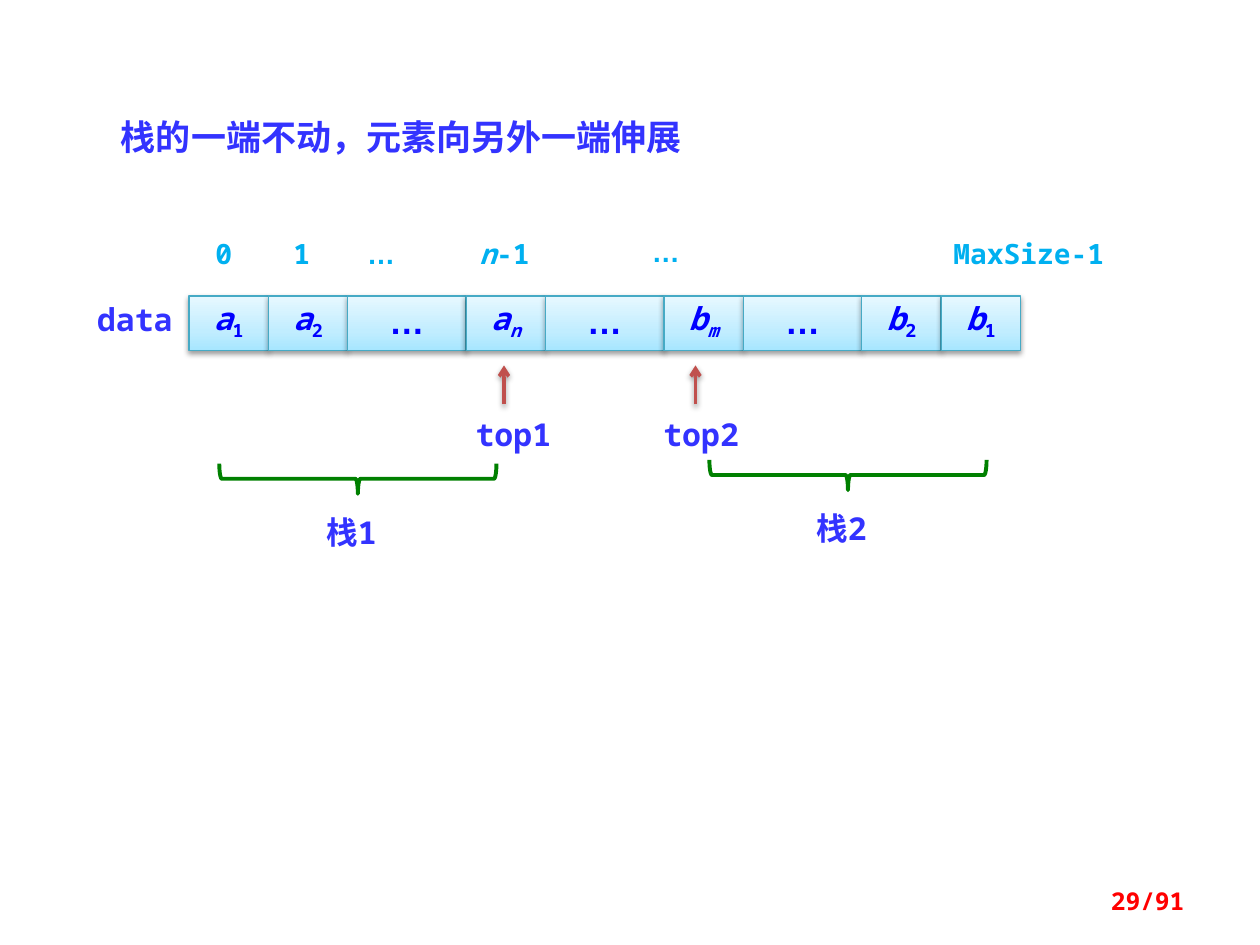
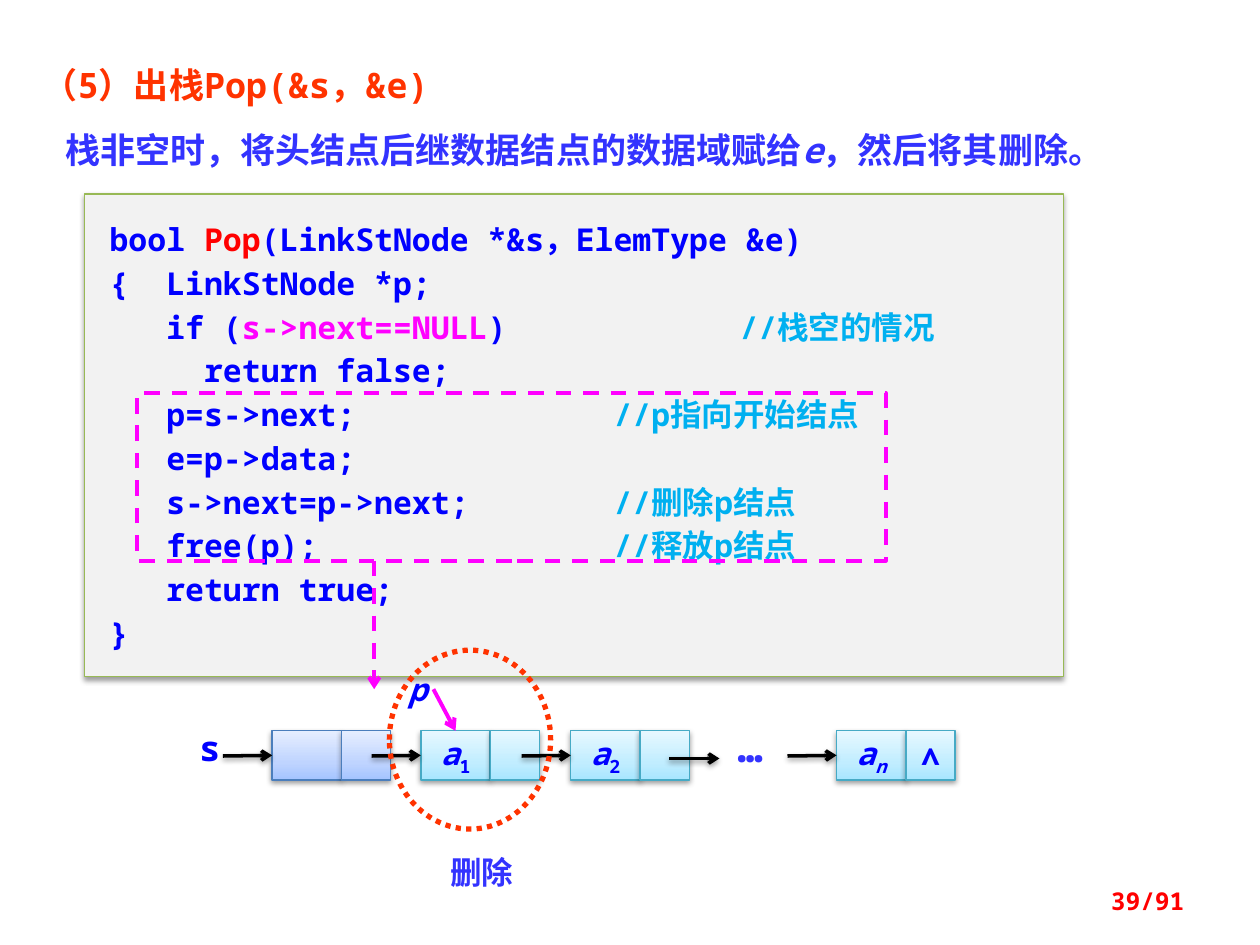
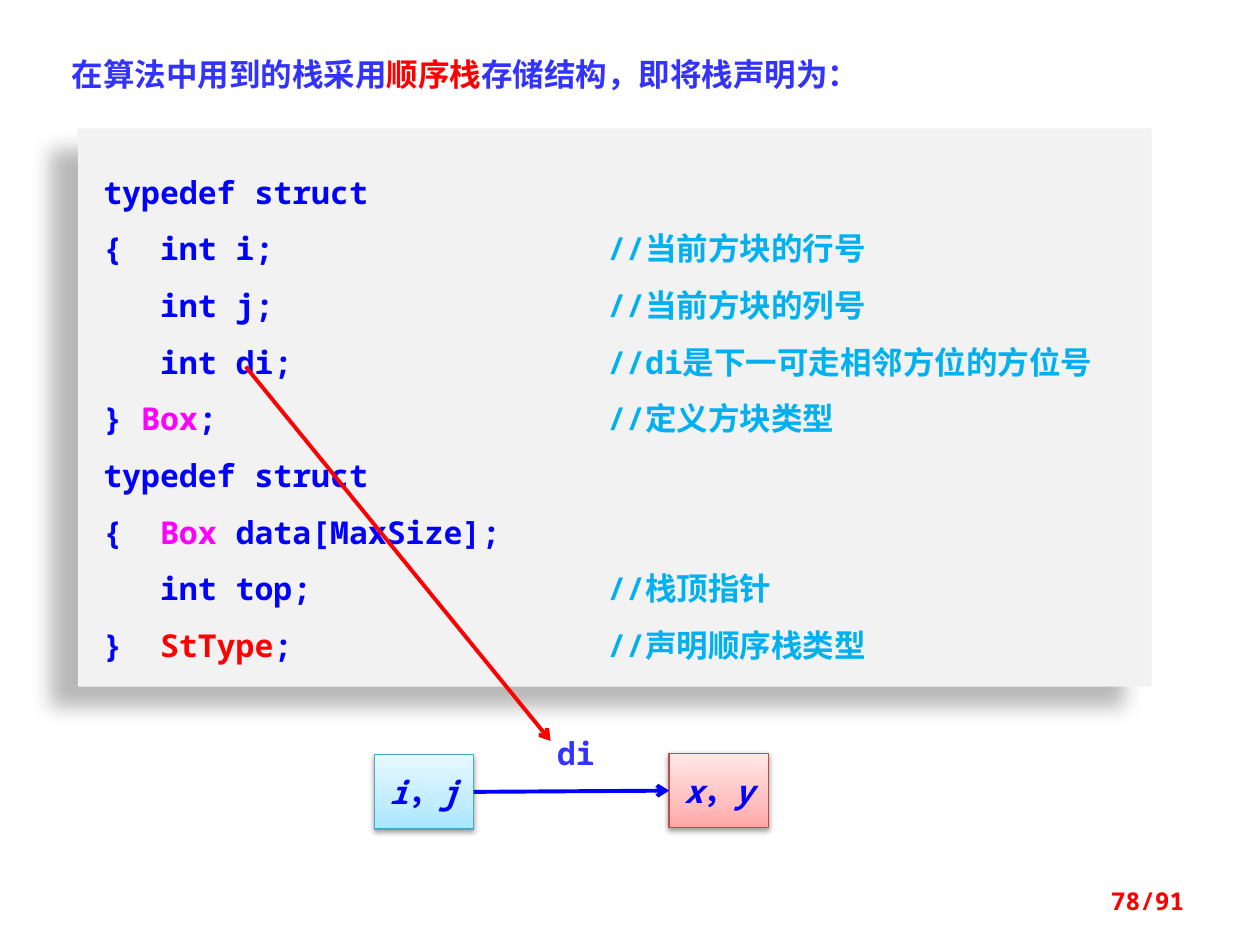
from copy import deepcopy

from lxml.etree import SubElement
from pptx import Presentation
from pptx.dml.color import RGBColor
from pptx.enum.dml import MSO_LINE
from pptx.enum.shapes import MSO_CONNECTOR, MSO_SHAPE
from pptx.enum.text import MSO_ANCHOR, MSO_AUTO_SIZE, PP_ALIGN
from pptx.oxml.ns import qn
from pptx.util import Inches, Pt

MONO, ARIAL = "Noto Sans Mono", "Arial"
CJK_JP, CJK_SC = "Noto Sans CJK JP", "Noto Sans CJK SC"
BLUE, INDIGO, SKY, MAGENTA = "0000FF", "3333FF", "00B0F0", "FF00FF"
RED, ORANGE, GREEN, BRICK = "FF0000", "FF3300", "008000", "C0504D"
BLACK, PANEL = "000000", "F2F2F2"
AQUA = (("A7E6FF", "C1EDFF", "E7F8FF"), "46AAC5")
STEEL = (("A4C4FF", "BFD4FF", "E6EEFF"), "4B7EBC")
ROSE = (("FFA6A5", "FFC0BF", "FFE7E7"), "BF4C48")
SOFT = (3.15, 1.57, 90, 38)
DEEP = (11.8, 19.7, 141, 28)
PAGES = 91


def rgb(value):
    """Turn a hex string into a colour."""
    return RGBColor.from_string(value)


def write(p, runs, color=BLUE, size=18, font=MONO):
    """Add runs, each a string or a (string, overrides) pair."""
    for run in runs:
        text, own = (run, {}) if isinstance(run, str) else run
        r = p.add_run()
        r.text = text
        f = r.font
        f.size, f.bold, f.italic = Pt(size), True, own.get("italic", False)
        f.color.rgb = rgb(own.get("color", color))
        f.name = own.get("font", font)
        rPr = r._r.get_or_add_rPr()
        SubElement(rPr, qn("a:ea")).set("typeface", f.name)
        if own.get("sub"):
            rPr.set("baseline", "-25000")


def tint(text, color):
    """Return a run in another colour."""
    return text, {"color": color}


def note(text):
    """Return a code comment, set at the next tab stop."""
    return tint("\t" + text, SKY)


def ital(text):
    """Return an italic run."""
    return text, {"italic": True}


def indexed(name, index):
    """Return an italic name with its subscript."""
    return [ital(name), (index, {"italic": index.isalpha(), "sub": True})]


def add_shadow(shape, shadow):
    """Give a shape or connector the outer shadow, or none."""
    spPr = shape._element.spPr
    effects = spPr.find(qn("a:effectLst"))
    if effects is None:
        effects = SubElement(spPr, qn("a:effectLst"))
    if shadow:
        blur, dist, angle, alpha = shadow
        outer = SubElement(effects, qn("a:outerShdw"), blurRad=str(Pt(blur)),
                           dist=str(Pt(dist)), dir=str(angle * 60000), rotWithShape="0")
        clr = SubElement(outer, qn("a:srgbClr"), val=BLACK)
        SubElement(clr, qn("a:alpha"), val=str(alpha * 1000))


def add_gradient(shape, colors):
    """Fill a shape from bottom to top with three colours."""
    shape.fill.gradient()
    shape.fill.gradient_angle = 90
    stops = shape._element.spPr.find(".//" + qn("a:gsLst"))
    stops.insert(1, deepcopy(stops[0]))
    for stop, pos, color in zip(shape.fill.gradient_stops, (0, 0.35, 1), colors):
        stop.position, stop.color.rgb = pos, rgb(color)


def add_box(s, x, y, w, h, fill=None, line=None, width=0.75, dash=None,
            shadow=None, kind=MSO_SHAPE.RECTANGLE):
    """Add a preset shape with its fill, outline and shadow."""
    sp = s.shapes.add_shape(kind, Inches(x), Inches(y), Inches(w), Inches(h))
    sp.shadow.inherit = False
    if isinstance(fill, tuple):
        add_gradient(sp, fill)
    elif fill:
        sp.fill.solid()
        sp.fill.fore_color.rgb = rgb(fill)
    else:
        sp.fill.background()
    if line:
        sp.line.color.rgb, sp.line.width = rgb(line), Pt(width)
        if dash:
            sp.line.dash_style = dash
    else:
        sp.line.fill.background()
    add_shadow(sp, shadow)
    return sp


def add_cell(s, x, y, w, h, runs=(), style=AQUA, **fmt):
    """Add a gradient cell with centred text."""
    sp = add_box(s, x, y, w, h, *style, shadow=SOFT)
    tf = sp.text_frame
    tf.word_wrap, tf.vertical_anchor = False, MSO_ANCHOR.MIDDLE
    tf.paragraphs[0].alignment = PP_ALIGN.CENTER
    write(tf.paragraphs[0], runs, **fmt)
    return sp


def add_label(s, x, y, w, h, runs, align=PP_ALIGN.CENTER, inset=False,
              anchor=MSO_ANCHOR.TOP, color=INDIGO, **fmt):
    """Add a one-line text box."""
    tf = s.shapes.add_textbox(Inches(x), Inches(y), Inches(w), Inches(h)).text_frame
    tf.word_wrap, tf.vertical_anchor = True, anchor
    if not inset:
        tf.margin_left = tf.margin_right = tf.margin_top = tf.margin_bottom = 0
    p = tf.paragraphs[0]
    p.alignment = align
    write(p, runs, color=color, **fmt)


def add_arrow(s, start, end, color, width=2.25, dash=None, shadow=None,
              begin_at=None, end_at=None):
    """Add an arrow, joined to (shape, side) pairs where given."""
    c = s.shapes.add_connector(MSO_CONNECTOR.STRAIGHT, *map(Inches, start + end))
    if begin_at:
        c.begin_connect(*begin_at)
    if end_at:
        c.end_connect(*end_at)
    c.line.color.rgb, c.line.width = rgb(color), Pt(width)
    if dash:
        c.line.dash_style = dash
    SubElement(c.line._get_or_add_ln(), qn("a:tailEnd"), type="arrow")
    add_shadow(c, shadow)


def add_code(s, x, y, w, h, lines, spacing, top, line=None, shadow=SOFT):
    """Add a code panel; each line is (runs, tab stop in inches)."""
    tf = add_box(s, x, y, w, h, PANEL, line, shadow=shadow).text_frame
    tf.word_wrap, tf.vertical_anchor = True, MSO_ANCHOR.TOP
    tf.margin_left, tf.margin_top, tf.margin_bottom = Inches(0.2), Inches(top), Inches(0.2)
    for i, (runs, stop) in enumerate(lines):
        p = tf.add_paragraph() if i else tf.paragraphs[0]
        tabs = SubElement(p._p.get_or_add_pPr(), qn("a:tabLst"))
        SubElement(tabs, qn("a:tab"), pos=str(Inches(stop)), algn="l")
        p.alignment, p.line_spacing = PP_ALIGN.LEFT, spacing
        write(p, runs)


def new_slide(prs, page, x, y, w, h, title, **fmt):
    """Add a slide with its title and page number."""
    s = prs.slides.add_slide(prs.slide_layouts[5])
    sp = s.shapes.title
    sp.left, sp.top, sp.width, sp.height = map(Inches, (x, y, w, h))
    tf = sp.text_frame
    tf.word_wrap, tf.auto_size = True, MSO_AUTO_SIZE.NONE
    tf.vertical_anchor = MSO_ANCHOR.MIDDLE
    tf.paragraphs[0].alignment = PP_ALIGN.LEFT
    write(tf.paragraphs[0], title, **fmt)
    add_label(s, 7.17, 6.95, 2.33, 0.4, [f"{page}/{PAGES}"], PP_ALIGN.RIGHT, True,
              MSO_ANCHOR.MIDDLE, RED, size=14)
    return s


def shared_stack(prs):
    """Draw two stacks that share one array."""
    s = new_slide(prs, 29, 0.86, 0.86, 5.94, 0.44, ["栈的一端不动，元素向另外一端伸展"],
                  color=INDIGO, size=20, font=CJK_JP)
    x = 1.5
    for item in ("a1", "a2", "…", "an", "…", "bm", "…", "b2", "b1"):
        gap = item == "…"
        w = 0.94 if gap else 0.63
        runs = [item] if gap else indexed(*item)
        sp = add_cell(s, x, 2.35, w, 0.43, runs, size=20 if gap else 18,
                      font=ARIAL if gap else MONO)
        sp.text_frame.margin_top = 0
        x += w
    for x, y, w, runs, font in ((1.58, 1.88, 0.39, ["0"], MONO),
                                (2.2, 1.88, 0.39, ["1"], MONO),
                                (2.83, 1.88, 0.39, ["…"], ARIAL),
                                (3.69, 1.88, 0.63, [ital("n"), "-1"], MONO),
                                (5.09, 1.86, 0.39, ["…"], ARIAL),
                                (7.5, 1.88, 1.33, ["MaxSize-1"], MONO)):
        add_label(s, x, y, w, 0.27, runs, color=SKY, size=16, font=font)
    add_label(s, 0.72, 2.38, 0.7, 0.3, ["data"])
    for name, x, text_x in (("top1", 4, 3.76), ("top2", 5.52, 5.25)):
        add_arrow(s, (x, 3.21), (x, 2.9), BRICK, 2, shadow=SOFT)
        add_label(s, text_x, 3.29, 0.63, 0.3, [name])
    for name, x, y in (("栈1", 2.72, 2.7), ("栈2", 6.61, 2.67)):
        brace = add_box(s, x, y, 0.24, 2.2, line=GREEN, width=2.25,
                        kind=MSO_SHAPE.RIGHT_BRACE)
        brace.rotation = 90
        add_label(s, x - 0.28, y + 1.37, 0.7, 0.3, [name])


def add_node(s, x, data=(), link=(), style=AQUA, pointed=True):
    """Add a list node with the arrow that leads to it."""
    sp = add_cell(s, x, 5.8, 0.55, 0.39, data, style)
    add_cell(s, x + 0.55, 5.8, 0.39, 0.39, link, style)
    add_arrow(s, (x - 0.39, 6), (x, 6), BLACK, 2, shadow=SOFT, end_at=(sp, 1))
    return sp


def pop_slide(prs):
    """Show the pop operation of a linked stack."""
    s = new_slide(prs, 39, 0.24, 0.42, 9.6, 0.5, ["（5）出栈Pop(&s，&e)"],
                  color=ORANGE, size=20)
    add_label(s, 0.42, 0.94, 9.4, 0.5,
              ["栈非空时，将头结点后继数据结点的数据域赋给", ital("e"), "，然后将其删除。"],
              PP_ALIGN.LEFT, True, MSO_ANCHOR.MIDDLE, size=20)
    add_code(s, 0.67, 1.54, 7.77, 3.83, [
        (["bool ", tint("Pop", RED), "(LinkStNode *&s，ElemType &e)"], 4),
        (["{  LinkStNode *p;"], 4),
        (["   if (", tint("s->next==NULL", MAGENTA), ")", note("//栈空的情况")], 5),
        (["     return false;"], 4),
        (["   p=s->next;", note("//p指向开始结点")], 4),
        (["   e=p->data;"], 4),
        (["   s->next=p->next;", note("//删除p结点")], 4),
        (["   free(p);", note("//释放p结点")], 4),
        (["   return true;"], 4),
        (["}"], 4),
    ], Pt(25), 0.16, "98B955")
    add_node(s, 2.16, style=STEEL)
    first = add_node(s, 3.34, indexed("a", "1"))
    add_node(s, 4.53, indexed("a", "2"))
    add_node(s, 6.64, indexed("a", "n"), ["∧"])
    add_arrow(s, (5.31, 6.02), (5.71, 6.02), BLACK, 2, shadow=SOFT)
    add_label(s, 1.47, 5.72, 0.39, 0.43, ["s"], inset=True, color=BLUE, size=20)
    add_label(s, 5.68, 5.67, 0.55, 0.5, ["…"], inset=True, size=24)
    add_box(s, 3.09, 5.16, 1.28, 1.42, line=ORANGE, width=3,
            dash=MSO_LINE.ROUND_DOT, kind=MSO_SHAPE.OVAL)
    add_label(s, 3.28, 6.72, 1.09, 0.4, ["删除"], inset=True, font=CJK_SC)
    add_arrow(s, (3.44, 5.47), (3.62, 5.8), MAGENTA, end_at=(first, 0))
    add_label(s, 3.12, 5.27, 0.39, 0.4, [ital("p")], inset=True, color=BLUE)
    add_box(s, 1.09, 3.12, 5.94, 1.33, line=MAGENTA, width=2.25, dash=MSO_LINE.DASH)
    add_arrow(s, (2.97, 4.45), (2.97, 5.47), MAGENTA, dash=MSO_LINE.DASH)


def declaration_slide(prs):
    """Show the stack type used by the maze algorithm."""
    s = new_slide(prs, 78, 0.47, 0.39, 6.56, 0.4,
                  ["在算法中用到的栈采用", ("顺序栈", {"color": RED, "font": CJK_JP}),
                   "存储结构，即将栈声明为："], color=INDIGO, font=CJK_SC)
    lines = [
        ["typedef struct"],
        ["{  int i;", note("//当前方块的行号")],
        ["   int j;", note("//当前方块的列号")],
        ["   int di;", note("//di是下一可走相邻方位的方位号")],
        ["} ", tint("Box", MAGENTA), ";", note("//定义方块类型")],
        ["typedef struct"],
        ["{  ", tint("Box", MAGENTA), " data[MaxSize];"],
        ["   int top;", note("//栈顶指针")],
        ["}  ", tint("StType", RED), ";", note("//声明顺序栈类型")],
    ]
    add_code(s, 0.62, 1.02, 8.52, 4.43, [(runs, 4) for runs in lines], 1.5, 0.2,
             shadow=DEEP)
    here = add_cell(s, 2.97, 5.99, 0.79, 0.59, [ital("i"), "，", ital("j")])
    there = add_cell(s, 5.31, 5.98, 0.79, 0.59, [ital("x"), "，", ital("y")], ROSE)
    add_arrow(s, (3.76, 6.29), (5.31, 6.28), BLUE, begin_at=(here, 3), end_at=(there, 1))
    add_label(s, 4.22, 5.78, 0.7, 0.4, ["di"], inset=True)
    add_arrow(s, (1.95, 2.91), (4.37, 5.88), RED)


def main():
    """Build the three slides and save them."""
    prs = Presentation()
    prs.slide_width, prs.slide_height = Inches(10), Inches(7.5)
    shared_stack(prs)
    pop_slide(prs)
    declaration_slide(prs)
    prs.save("out.pptx")


if __name__ == "__main__":
    main()
